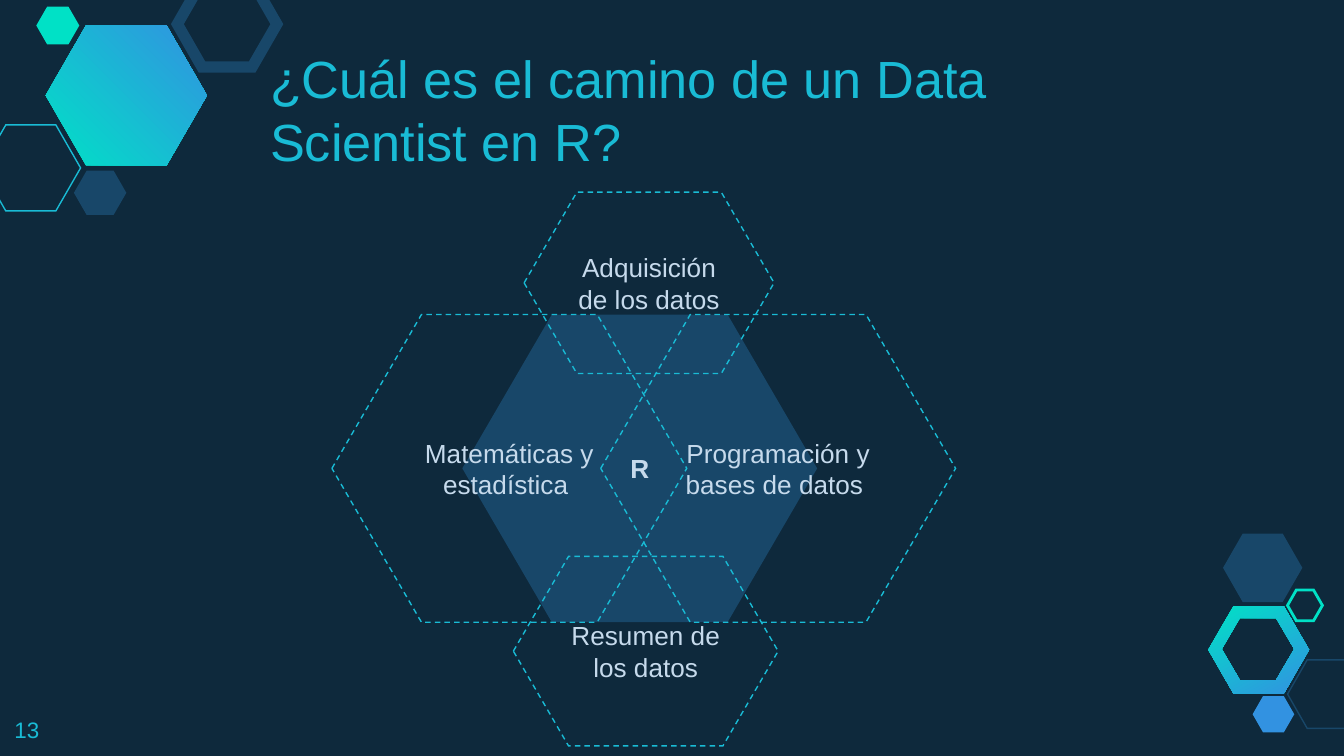
from lxml.etree import SubElement
from pptx import Presentation
from pptx.dml.color import RGBColor
from pptx.enum.dml import MSO_LINE
from pptx.enum.shapes import MSO_SHAPE
from pptx.enum.text import MSO_ANCHOR, MSO_AUTO_SIZE, PP_ALIGN
from pptx.oxml.ns import qn
from pptx.util import Inches, Pt

NIGHT = RGBColor(0x0E, 0x29, 0x3C)
NAVY = RGBColor(0x18, 0x47, 0x69)
CYAN = RGBColor(0x19, 0xBB, 0xD5)
MINT = RGBColor(0x00, 0xE1, 0xC6)
BLUE = RGBColor(0x32, 0x92, 0xE1)
PALE = RGBColor(0xC6, 0xDA, 0xEC)
FONT = "Arial"

# left, top, width, height, fill, line colour, line width
DECORATIONS = [
    (-0.14, 0.93, 0.74, 0.64, None, CYAN, 0.75),
    (0.55, 1.27, 0.39, 0.33, NAVY, None, 0),
    (1.32, -0.14, 0.74, 0.64, None, NAVY, 6),
    (0.27, 0.05, 0.32, 0.28, MINT, None, 0),
    (9.58, 4.91, 0.59, 0.51, None, NAVY, 0.75),
    (9.32, 5.18, 0.31, 0.27, BLUE, None, 0),
    (9.10, 3.97, 0.59, 0.51, NAVY, None, 0),
    (9.58, 4.39, 0.26, 0.23, None, MINT, 1.5),
]

# left, top, width, height, label
STEPS = [
    (2.47, 2.34, 2.64, 2.29, "Matemáticas y estadística "),
    (4.47, 2.34, 2.64, 2.29, "Programación y bases de datos "),
    (3.82, 4.14, 1.97, 1.41, "Resumen de los datos"),
    (3.90, 1.43, 1.86, 1.35, "Adquisición de los datos"),
]


def write_text(shape, text, size, color, anchor, align=PP_ALIGN.LEFT, bold=False):
    frame = shape.text_frame
    frame.word_wrap = True
    frame.auto_size = MSO_AUTO_SIZE.NONE
    frame.vertical_anchor = anchor
    frame.margin_left = frame.margin_right = Inches(0.1)
    frame.margin_top = frame.margin_bottom = Inches(0.1)
    paragraph = frame.paragraphs[0]
    paragraph.alignment = align
    run = paragraph.add_run()
    run.text = text
    run.font.name = FONT
    run.font.size = Pt(size)
    run.font.bold = bold
    run.font.color.rgb = color


def add_hexagon(slide, box, adjustment, fill=None, line=None, width=0.75, dash=None):
    shape = slide.shapes.add_shape(MSO_SHAPE.HEXAGON, *map(Inches, box))
    shape.adjustments[0] = adjustment
    shape.shadow.inherit = False
    if fill is None:
        shape.fill.background()
    else:
        shape.fill.solid()
        shape.fill.fore_color.rgb = fill
    if line is None:
        shape.line.fill.background()
    else:
        shape.line.color.rgb = line
        shape.line.width = Pt(width)
        if dash is not None:
            shape.line.dash_style = dash
        # Sharp corners
        outline = shape.element.spPr.find(qn("a:ln"))
        SubElement(outline, qn("a:miter")).set("lim", "800000")
    return shape


def hexagon_points(left, top, width, height):
    """Corners of a regular hexagon with points at left and right."""
    middle, right, bottom = top + height / 2, left + width, top + height
    inner_left, inner_right = left + width / 4, right - width / 4
    corners = [(left, middle), (inner_left, top), (inner_right, top),
               (right, middle), (inner_right, bottom), (inner_left, bottom)]
    return [(Inches(x), Inches(y)) for x, y in corners]


def add_gradient_hexagon(slide, boxes, angle):
    """Freeform with one contour per box; a second box cuts a hole."""
    contours = [hexagon_points(*box) for box in boxes]
    builder = slide.shapes.build_freeform(*contours[0][0])
    builder.add_line_segments(contours[0][1:], close=True)
    for contour in contours[1:]:
        builder.move_to(*contour[0])
        builder.add_line_segments(contour[:0:-1], close=True)
    shape = builder.convert_to_shape()
    shape.shadow.inherit = False
    shape.line.fill.background()
    shape.fill.gradient()
    shape.fill.gradient_angle = angle
    for stop, color, position in zip(shape.fill.gradient_stops, (MINT, BLUE), (0, 1)):
        stop.color.rgb = color
        stop.position = position


def add_title(slide, text):
    title = slide.shapes.title
    title.left, title.top = Inches(1.91), Inches(0.67)
    title.width, title.height = Inches(6.45), Inches(0.71)
    write_text(title, text, 28, CYAN, MSO_ANCHOR.BOTTOM)


def main():
    # Widescreen, 16 to 9
    presentation = Presentation()
    presentation.slide_width = Inches(10)
    presentation.slide_height = Inches(10) * 9 // 16
    slide = presentation.slides.add_slide(presentation.slide_layouts[5])
    slide.background.fill.solid()
    slide.background.fill.fore_color.rgb = NIGHT

    # Corner decorations
    add_gradient_hexagon(slide, [(8.99, 4.51, 0.75, 0.65), (9.09, 4.6, 0.54, 0.46)], 300)
    add_gradient_hexagon(slide, [(0.34, 0.19, 1.2, 1.04)], 45)
    for *box, fill, line, width in DECORATIONS:
        add_hexagon(slide, box, 0.287, fill, line, width)

    # Centre of the diagram
    core = add_hexagon(slide, (3.44, 2.34, 2.64, 2.29), 0.291, fill=NAVY)
    write_text(core, "R", 14, PALE, MSO_ANCHOR.MIDDLE, PP_ALIGN.CENTER, bold=True)

    add_title(slide, "¿Cuál es el camino de un Data Scientist en R?")

    # Dashed hexagons around the centre
    for *box, label in STEPS:
        step = add_hexagon(slide, box, 0.291, line=CYAN, dash=MSO_LINE.DASH)
        write_text(step, label, 14, PALE, MSO_ANCHOR.MIDDLE, PP_ALIGN.CENTER)

    # Slide number
    number = slide.shapes.add_textbox(Inches(0.01), Inches(5.23), Inches(0.6), Inches(0.39))
    write_text(number, "13", 12, CYAN, MSO_ANCHOR.TOP)

    presentation.save("out.pptx")


if __name__ == "__main__":
    main()
